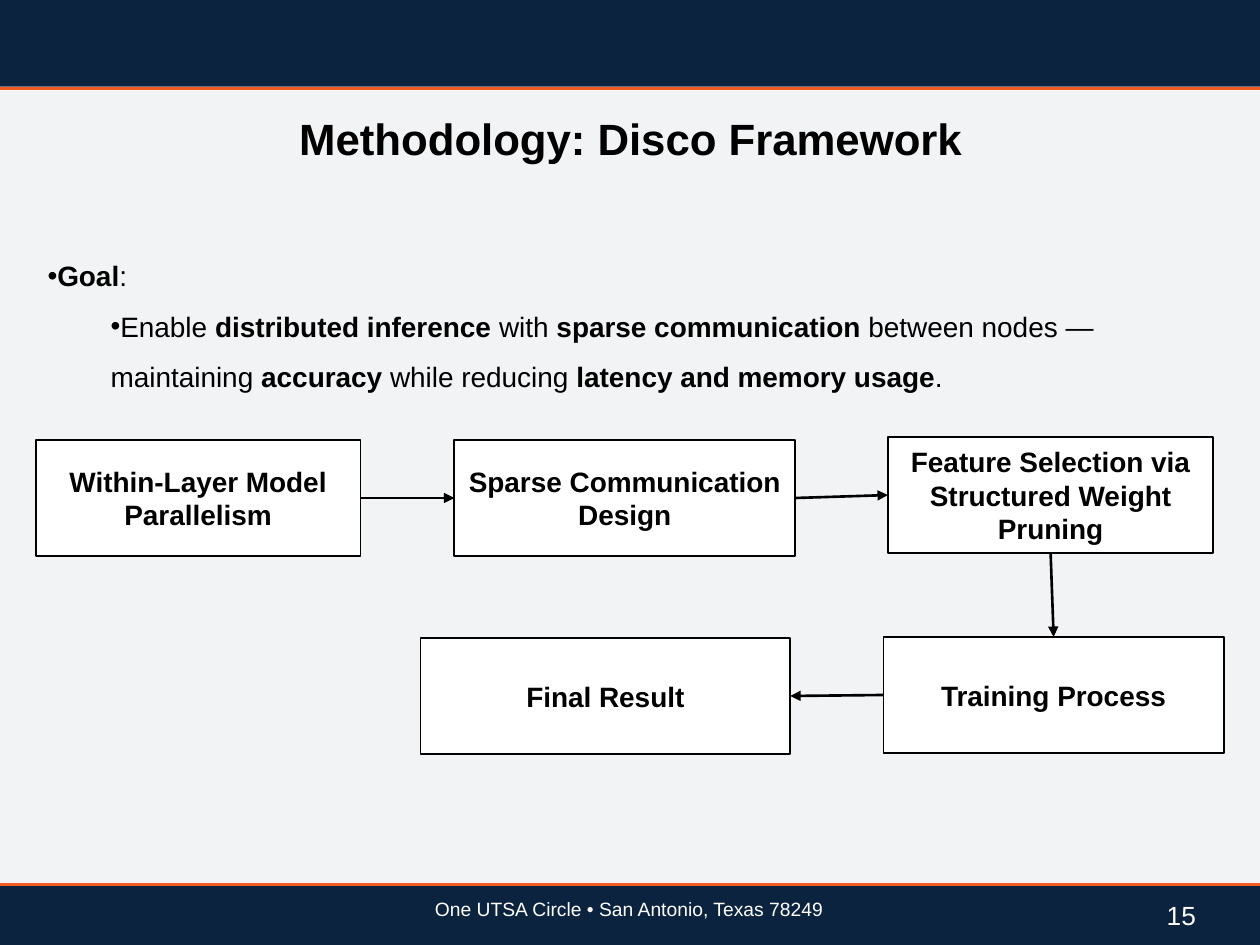
from lxml import etree
from pptx import Presentation
from pptx.dml.color import RGBColor
from pptx.enum.shapes import MSO_CONNECTOR, MSO_SHAPE
from pptx.enum.text import MSO_ANCHOR, PP_ALIGN
from pptx.oxml.ns import qn
from pptx.util import Cm, Pt

RECTANGLE = MSO_SHAPE.RECTANGLE
STRAIGHT = MSO_CONNECTOR.STRAIGHT
TOP, MIDDLE = MSO_ANCHOR.TOP, MSO_ANCHOR.MIDDLE
LEFT, CENTER = PP_ALIGN.LEFT, PP_ALIGN.CENTER
SITE_TOP, SITE_LEFT, SITE_BOTTOM, SITE_RIGHT = range(4)

FONT = "Arial"
COLORS = {"navy": "0C2340", "orange": "F15A22", "black": "000000", "white": "FFFFFF"}
SLIDE_WIDTH, SLIDE_HEIGHT = 25.4, 19.05
STEP_HEIGHT = 2.34

STEPS = [
    ("Within-Layer Model Parallelism", 0.72, 8.87, 6.55),
    ("Sparse Communication Design", 9.16, 8.87, 6.87),
    ("Feature Selection via Structured Weight Pruning", 17.9, 8.81, 6.56),
    ("Training Process", 17.81, 12.84, 6.86),
    ("Final Result", 8.48, 12.86, 7.45),
]
ARROW_SITES = [
    (SITE_RIGHT, SITE_LEFT),
    (SITE_RIGHT, SITE_LEFT),
    (SITE_BOTTOM, SITE_TOP),
    (SITE_LEFT, SITE_RIGHT),
]
GOAL = [
    (0, [("Goal", True), (":", False)]),
    (1, [
        ("Enable ", False),
        ("distributed inference", True),
        (" with ", False),
        ("sparse communication", True),
        (" between nodes — maintaining ", False),
        ("accuracy", True),
        (" while reducing ", False),
        ("latency and memory usage", True),
        (".", False),
    ]),
]


def rgb(name):
    """Return the named colour of the palette."""
    return RGBColor.from_string(COLORS[name])


def style_font(font, size, color, bold=False):
    """Set typeface, size, colour and weight."""
    font.name = FONT
    font.size = Pt(size)
    font.bold = bold
    font.color.rgb = rgb(color)


def write_line(frame, text, size, color, align=LEFT, bold=False, anchor=TOP, spacing=1.0):
    """Fill a text frame with one formatted paragraph."""
    frame.word_wrap = True
    frame.vertical_anchor = anchor
    paragraph = frame.paragraphs[0]
    paragraph.text = text
    paragraph.alignment = align
    paragraph.line_spacing = spacing
    style_font(paragraph.runs[0].font, size, color, bold)


def add_rectangle(slide, left, top, width, height, fill):
    """Add a plain filled rectangle without outline."""
    rectangle = slide.shapes.add_shape(RECTANGLE, Cm(left), Cm(top), Cm(width), Cm(height))
    rectangle.shadow.inherit = False
    rectangle.fill.solid()
    rectangle.fill.fore_color.rgb = rgb(fill)
    rectangle.line.fill.background()
    return rectangle


def add_line(slide, color, width, start=(0, 0), end=(0, 0)):
    """Add a straight connector without shadow."""
    line = slide.shapes.add_connector(STRAIGHT, *(Cm(value) for value in (*start, *end)))
    line.line.color.rgb = rgb(color)
    line.line.width = Pt(width)
    etree.SubElement(line._element.spPr, qn("a:effectLst"))
    return line


def add_backdrop(slide):
    """Add the tinted body, the two navy bands and their orange rules."""
    body = add_rectangle(slide, 0, 1.83, SLIDE_WIDTH, 15.98, "navy")
    tint = body._element.spPr.find(qn("a:solidFill"))[0]
    etree.SubElement(tint, qn("a:alpha"), val="5000")
    add_rectangle(slide, 0, 17.86, SLIDE_WIDTH, 1.19, "navy")
    add_rectangle(slide, 0, 0, SLIDE_WIDTH, 1.75, "navy")
    for height in (1.78, 17.83):
        add_line(slide, "orange", 2, (0, height), (SLIDE_WIDTH, height))


def place_title(slide, text):
    """Move the title in front of the backdrop and format it."""
    title = slide.shapes.title
    title.left, title.top, title.width, title.height = Cm(0.66), Cm(2.24), Cm(24.1), Cm(1.57)
    slide.shapes._spTree.append(title._element)
    write_line(title.text_frame, text, 25, "black", CENTER, bold=True, spacing=0.9)


def add_label(slide, left, top, width, height, text, size, align=LEFT, spacing=1.0):
    """Add a white one-line text box."""
    label = slide.shapes.add_textbox(Cm(left), Cm(top), Cm(width), Cm(height))
    write_line(label.text_frame, text, size, "white", align, spacing=spacing)


def add_goal(slide):
    """Add the bulleted goal with its bold key terms."""
    frame = slide.shapes.add_textbox(Cm(0.71), Cm(4.8), Cm(22.99), Cm(3.2)).text_frame
    frame.word_wrap = True
    frame.vertical_anchor = MIDDLE
    for index, (level, pieces) in enumerate(GOAL):
        paragraph = frame.add_paragraph() if index else frame.paragraphs[0]
        paragraph.level = level
        paragraph.line_spacing = 1.5
        properties = paragraph._p.get_or_add_pPr()
        properties.set("marL", str(Cm(1.27 * level)))
        properties.set("indent", "0")
        etree.SubElement(properties, qn("a:buFont"), typeface=FONT)
        etree.SubElement(properties, qn("a:buChar"), char="•")
        for text, bold in pieces:
            run = paragraph.add_run()
            run.text = text
            style_font(run.font, 16, "black", bold)


def add_step(slide, text, left, top, width):
    """Add one outlined step of the framework."""
    step = add_rectangle(slide, left, top, width, STEP_HEIGHT, "white")
    step.line.color.rgb = rgb("black")
    step.line.width = Pt(1)
    write_line(step.text_frame, text, 16, "black", CENTER, bold=True, anchor=MIDDLE)
    return step


def add_arrow(slide, source, target, source_site, target_site):
    """Join two steps with an arrow."""
    arrow = add_line(slide, "black", 1.5)
    arrow.begin_connect(source, source_site)
    arrow.end_connect(target, target_site)
    etree.SubElement(arrow.line._get_or_add_ln(), qn("a:tailEnd"), type="triangle")


def main():
    """Build the methodology slide and save it."""
    deck = Presentation()
    deck.slide_width, deck.slide_height = Cm(SLIDE_WIDTH), Cm(SLIDE_HEIGHT)
    slide = deck.slides.add_slide(deck.slide_layouts[5])
    add_backdrop(slide)
    place_title(slide, "Methodology: Disco Framework")
    add_label(slide, 0.71, 18.01, 23.95, 1.04,
              "One UTSA Circle • San Antonio, Texas 78249", 11, CENTER, 0.9)
    add_goal(slide)
    add_label(slide, 23.27, 18.01, 1.19, 0.89, "15", 15)
    steps = [add_step(slide, *step) for step in STEPS]
    for source, target, sites in zip(steps, steps[1:], ARROW_SITES):
        add_arrow(slide, source, target, *sites)
    deck.save("out.pptx")


if __name__ == "__main__":
    main()
